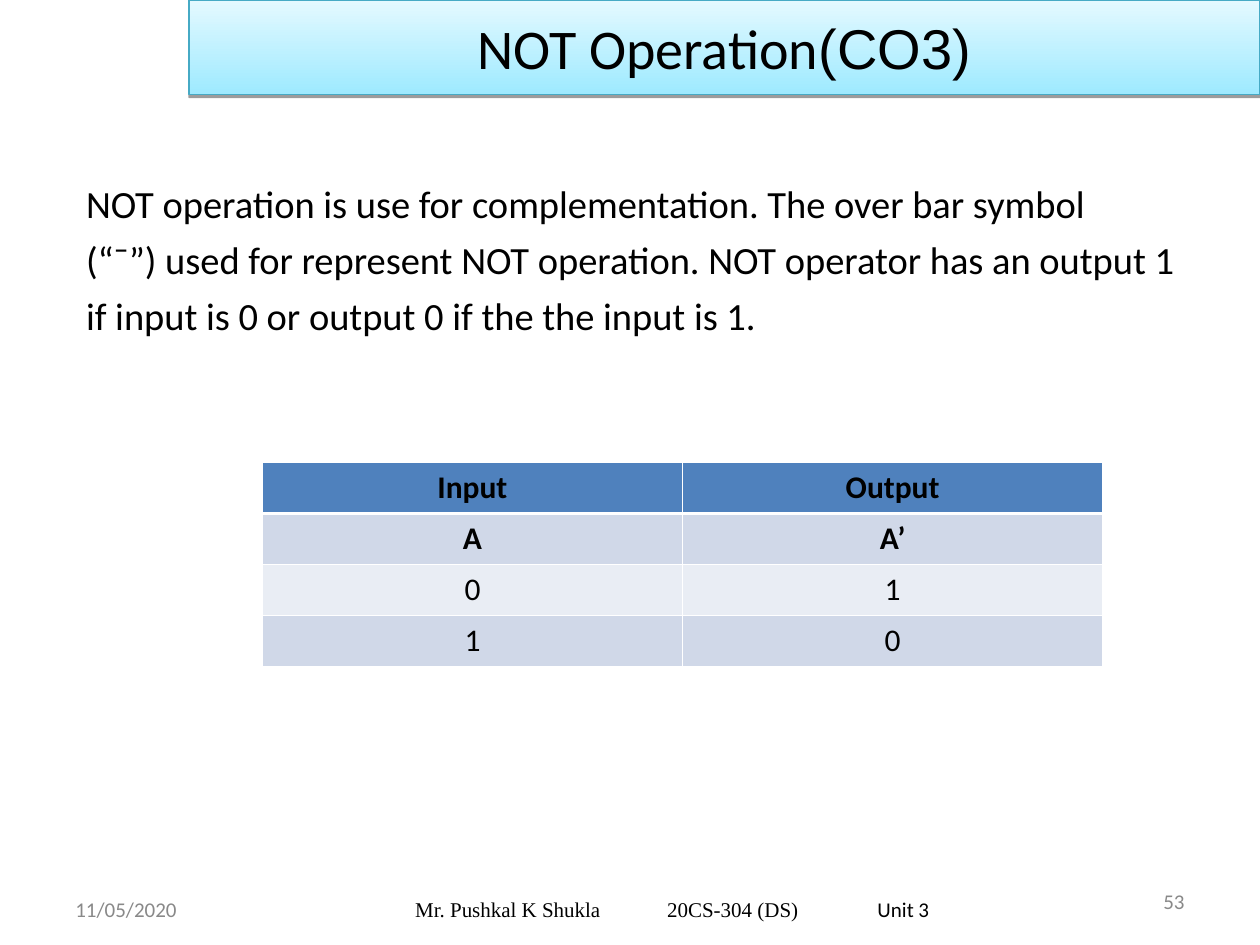
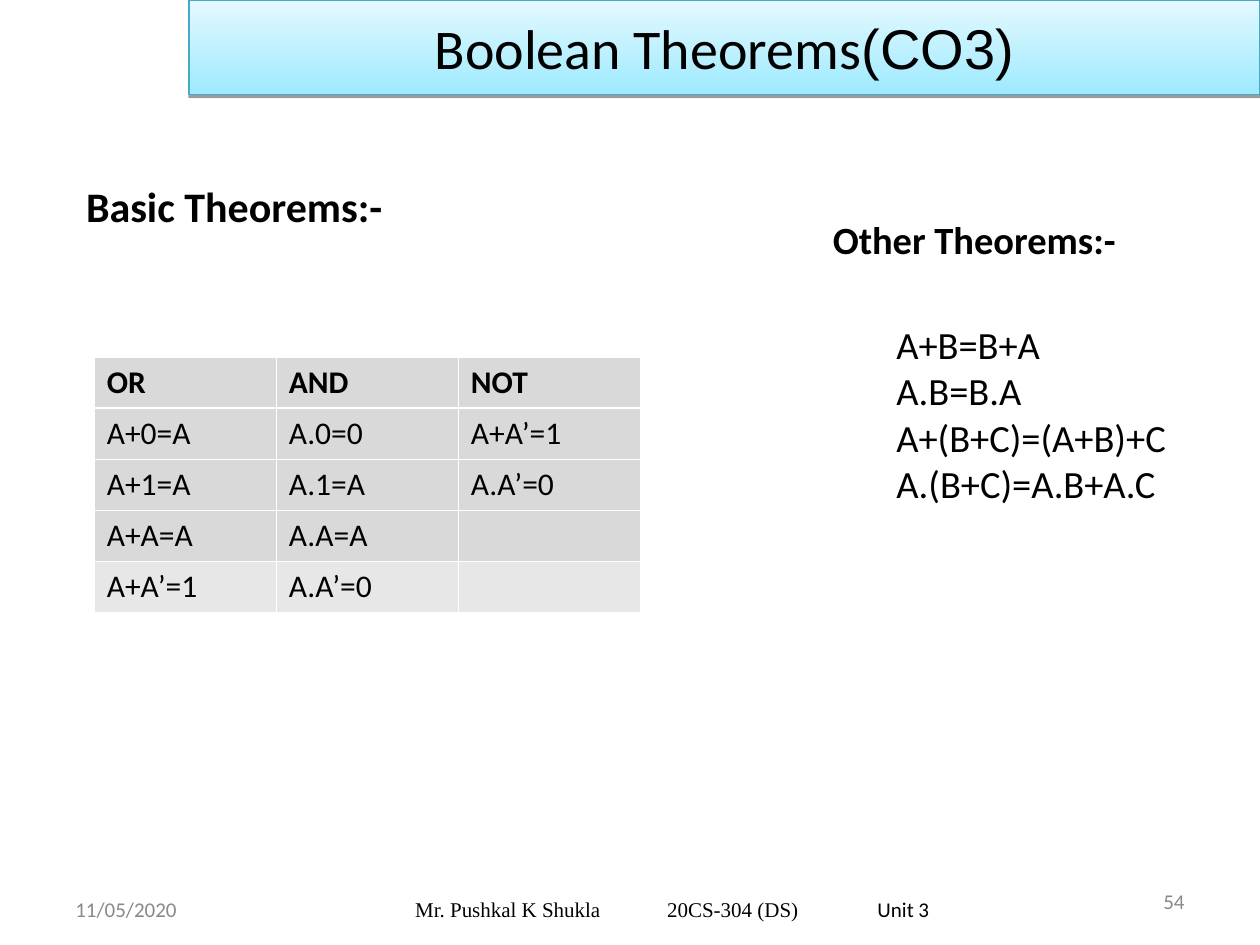
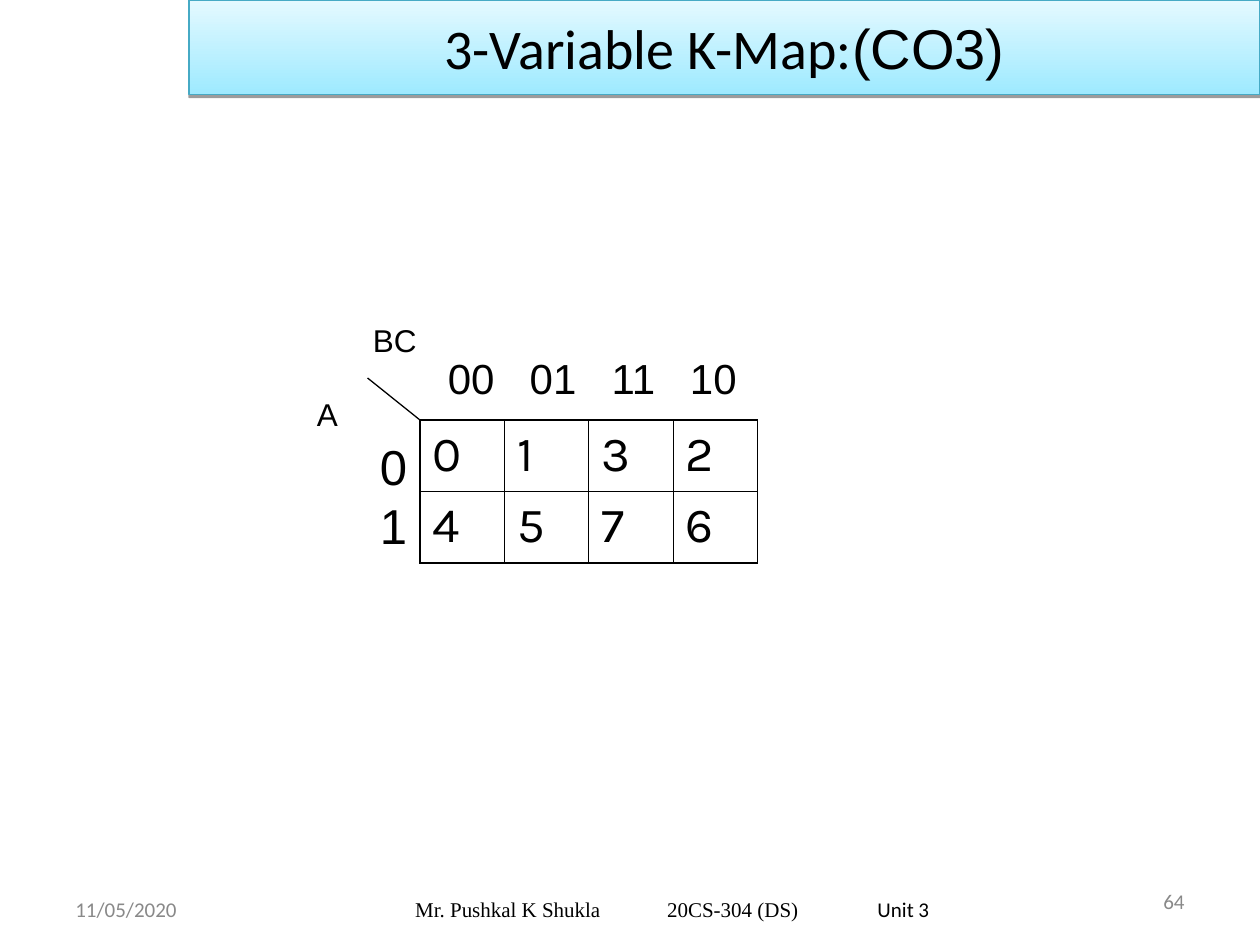
"""Build three lecture slides on Boolean operations, theorems and K-maps."""
from dataclasses import dataclass

from lxml import etree
from pptx import Presentation
from pptx.dml.color import RGBColor
from pptx.enum.shapes import MSO_CONNECTOR
from pptx.enum.text import MSO_ANCHOR, MSO_AUTO_SIZE, PP_ALIGN
from pptx.oxml.ns import qn
from pptx.util import Cm, Pt

LEFT, CENTER, RIGHT, JUSTIFY = PP_ALIGN.LEFT, PP_ALIGN.CENTER, PP_ALIGN.RIGHT, PP_ALIGN.JUSTIFY
TOP, MIDDLE = MSO_ANCHOR.TOP, MSO_ANCHOR.MIDDLE
FIXED, GROW = MSO_AUTO_SIZE.NONE, MSO_AUTO_SIZE.SHAPE_TO_FIT_TEXT
STRAIGHT = MSO_CONNECTOR.STRAIGHT

BLACK, WHITE, GRAY = "000000", "FFFFFF", "898989"
BAND_DARK, BAND_LIGHT, BAND_LINE = "9EEAFF", "E4F9FF", "46AAC5"
HEADER_BLUE, PALE_BLUE, PALEST_BLUE = "4F81BD", "D0D8E8", "E9EDF4"
CELL_GRAY, CELL_LIGHT_GRAY = "D9D9D9", "E7E7E7"

CALIBRI, ARIAL, TIMES, KARLA = "Calibri", "Arial", "Times New Roman", "Karla"
LAYOUT_BODY, LAYOUT_TITLE = 1, 5
HANGING = Cm(0.96)


@dataclass
class Run:
    """A piece of text in one style."""
    text: str
    size: float
    font: str = CALIBRI
    color: str = BLACK
    bold: bool = False


@dataclass
class Box:
    """A text box; lengths are in centimetres."""
    left: float
    top: float
    width: float
    height: float
    lines: list[list[Run]]
    align: PP_ALIGN = LEFT
    anchor: MSO_ANCHOR = TOP
    wrap: bool = False
    inset: float = 0.25
    tabs: tuple[float, ...] = ()


@dataclass
class Grid:
    """A table with its ruling; lengths are in centimetres, rules in points."""
    left: float
    top: float
    col_width: float
    row_height: float
    rows: list[list[str]]
    fills: list[str | None]
    size: float
    bold_rows: int = 0
    align: PP_ALIGN = LEFT
    font: str = CALIBRI
    rule_color: str = WHITE
    inner: float = 0.45
    outer: float = 0.45
    header: float = 1.47


def rgb(color: str) -> RGBColor:
    """Turn a hex string into a colour."""
    return RGBColor.from_string(color)


def add_run(p, run: Run) -> None:
    """Append one styled run to a paragraph."""
    r = p.add_run()
    r.text = run.text
    r.font.size = Pt(run.size)
    r.font.name = run.font
    r.font.bold = run.bold
    r.font.color.rgb = rgb(run.color)


def write(tf, lines: list[list[Run]], align: PP_ALIGN = LEFT) -> None:
    """Fill a text frame, one paragraph per line."""
    for i, runs in enumerate(lines):
        p = tf.paragraphs[0] if i == 0 else tf.add_paragraph()
        p.alignment = align
        for run in runs:
            add_run(p, run)


def place(sp, left: float, top: float, width: float, height: float) -> None:
    """Move and size a shape."""
    sp.left, sp.top, sp.width, sp.height = Cm(left), Cm(top), Cm(width), Cm(height)


def add_tabs(p, stops: tuple[float, ...]) -> None:
    """Set left tab stops on a paragraph."""
    tab_list = etree.SubElement(p._p.get_or_add_pPr(), qn("a:tabLst"))
    for stop in stops:
        etree.SubElement(tab_list, qn("a:tab"), pos=str(Cm(stop)), algn="l")


def add_box(s, box: Box) -> None:
    """Draw a text box."""
    sp = s.shapes.add_textbox(Cm(box.left), Cm(box.top), Cm(box.width), Cm(box.height))
    tf = sp.text_frame
    tf.word_wrap = box.wrap
    tf.auto_size = FIXED if box.wrap else GROW
    tf.vertical_anchor = box.anchor
    tf.margin_left = Cm(box.inset)
    if box.tabs:
        add_tabs(tf.paragraphs[0], box.tabs)
    write(tf, box.lines, box.align)


def format_title(s, text: str) -> None:
    """Turn the title placeholder into the gradient band."""
    sp = s.shapes.title
    place(sp, 3.81, 0, 21.59, 1.91)
    sp.fill.gradient()
    sp.fill.gradient_angle = 90
    for stop, color in zip(sp.fill.gradient_stops, (BAND_DARK, BAND_LIGHT)):
        stop.color.rgb = rgb(color)
    sp.line.color.rgb = rgb(BAND_LINE)
    sp.line.width = Pt(0.75)
    effects = etree.SubElement(sp._element.spPr, qn("a:effectLst"))
    shadow = etree.SubElement(effects, qn("a:outerShdw"), blurRad="0", dist=str(Pt(1.6)),
                              dir="5400000", rotWithShape="0")
    color = etree.SubElement(shadow, qn("a:srgbClr"), val=BLACK)
    etree.SubElement(color, qn("a:alpha"), val="38000")
    tf = sp.text_frame
    tf.auto_size = FIXED
    tf.vertical_anchor = MIDDLE
    write(tf, [[Run(text, 32), Run("(CO3)", 32, ARIAL)]], CENTER)


def format_body(s, lines: list[list[Run]], align: PP_ALIGN = LEFT) -> None:
    """Place the body placeholder and write unbulleted paragraphs."""
    sp = s.placeholders[1]
    place(sp, 1.48, 3.51, 22.86, 12.57)
    tf = sp.text_frame
    tf.auto_size = FIXED
    write(tf, lines, align)
    for i, p in enumerate(tf.paragraphs):
        pPr = p._p.get_or_add_pPr()
        pPr.set("marL", str(HANGING))
        pPr.set("indent", str(-HANGING))
        etree.SubElement(pPr, qn("a:buNone"))
        p.space_before = Pt(5.5 if i else 0)


def add_footer(s, number: str) -> None:
    """Draw the date, the course line and the page number."""
    add_box(s, Box(1.27, 17.82, 5.92, 1.02, [[Run("11/05/2020", 12, color=GRAY)]],
                   anchor=MIDDLE, wrap=True))
    add_box(s, Box(18.21, 17.65, 5.92, 1.02, [[Run(number, 12, color=GRAY)]],
                   align=RIGHT, anchor=MIDDLE, wrap=True))
    course = [Run("Mr. Pushkal K Shukla\t20CS-304 (DS)\t", 12, TIMES), Run("Unit 3", 12)]
    add_box(s, Box(6.56, 17.82, 13.97, 1.02, [course], anchor=MIDDLE, wrap=True,
                   inset=1.81, tabs=(5.08, 9.32)))


def add_rules(cell, widths: dict[str, float], color: str) -> None:
    """Set the four borders of a cell."""
    tcPr = cell._tc.get_or_add_tcPr()
    for side, width in widths.items():
        ln = etree.SubElement(tcPr, qn(f"a:ln{side}"), w=str(Pt(width)))
        fill = etree.SubElement(ln, qn("a:solidFill"))
        etree.SubElement(fill, qn("a:srgbClr"), val=color)


def add_grid(s, grid: Grid) -> None:
    """Draw a table with its fills and rules."""
    n_rows, n_cols = len(grid.rows), len(grid.rows[0])
    frame = s.shapes.add_table(n_rows, n_cols, Cm(grid.left), Cm(grid.top),
                               Cm(grid.col_width * n_cols), Cm(grid.row_height * n_rows))
    table = frame.table
    table.first_row = table.horz_banding = False
    for column in table.columns:
        column.width = Cm(grid.col_width)
    across = [grid.outer] + [grid.inner] * (n_cols - 1) + [grid.outer]
    down = [grid.outer, grid.header] + [grid.inner] * (n_rows - 2) + [grid.outer]
    for i, (texts, fill) in enumerate(zip(grid.rows, grid.fills)):
        table.rows[i].height = Cm(grid.row_height)
        for j, text in enumerate(texts):
            cell = table.cell(i, j)
            widths = {"L": across[j], "R": across[j + 1], "T": down[i], "B": down[i + 1]}
            add_rules(cell, widths, grid.rule_color)
            if fill:
                cell.fill.solid()
                cell.fill.fore_color.rgb = rgb(fill)
            else:
                cell.fill.background()
            if text:
                run = Run(text, grid.size, grid.font, bold=i < grid.bold_rows)
                write(cell.text_frame, [[run]], grid.align)


def add_line(s, x1: float, y1: float, x2: float, y2: float) -> None:
    """Draw a thin black line."""
    line = s.shapes.add_connector(STRAIGHT, Cm(x1), Cm(y1), Cm(x2), Cm(y2))
    line.line.color.rgb = rgb(BLACK)
    line.line.width = Pt(0.75)
    etree.SubElement(line._element.spPr, qn("a:effectLst"))


def new_slide(prs, layout: int, title: str, number: str):
    """Add a slide with the shared band and footer."""
    s = prs.slides.add_slide(prs.slide_layouts[layout])
    format_title(s, title)
    add_footer(s, number)
    return s


def build_not_operation(prs) -> None:
    """Build the NOT operation slide."""
    s = new_slide(prs, LAYOUT_BODY, "NOT Operation", "53")
    lines = (
        "NOT operation is use for complementation. The over bar symbol",
        "(“¯”) used for represent NOT operation. NOT operator has an output 1",
        "if input is 0 or output 0 if the the input is 1.",
    )
    format_body(s, [[Run(line, 22)] for line in lines], JUSTIFY)
    rows = [["Input", "Output"], ["A", "A’"], ["0", "1"], ["1", "0"]]
    fills = [HEADER_BLUE, PALE_BLUE, PALEST_BLUE, PALE_BLUE]
    add_grid(s, Grid(5.29, 9.32, 8.47, 1.03, rows, fills, 18, bold_rows=2, align=CENTER))


def build_theorems(prs) -> None:
    """Build the Boolean theorems slide."""
    s = new_slide(prs, LAYOUT_BODY, "Boolean Theorems", "54")
    format_body(s, [[Run("Basic Theorems:-", 24, bold=True)]])
    rows = [
        ["OR", "AND", "NOT"],
        ["A+0=A", "A.0=0", "A+A’=1"],
        ["A+1=A", "A.1=A", "A.A’=0"],
        ["A+A=A", "A.A=A", ""],
        ["A+A’=1", "A.A’=0", ""],
    ]
    fills = [CELL_GRAY] * 4 + [CELL_LIGHT_GRAY]
    add_grid(s, Grid(1.9, 7.2, 3.67, 1.03, rows, fills, 18, bold_rows=1))
    add_box(s, Box(16.54, 4.23, 6.22, 1.19, [[Run("Other Theorems:-", 22, bold=True)]]))
    theorems = ("A+B=B+A", "A.B=B.A", "A+(B+C)=(A+B)+C", "A.(B+C)=A.B+A.C")
    add_box(s, Box(17.82, 6.35, 5.94, 3.99, [[Run(theorem, 22)] for theorem in theorems]))


def build_k_map(prs) -> None:
    """Build the three-variable K-map slide."""
    s = new_slide(prs, LAYOUT_TITLE, "3-Variable K-Map:", "64")
    rows = [["0", "1", "3", "2"], ["4", "5", "7", "6"]]
    add_grid(s, Grid(8.47, 8.47, 1.7, 1.44, rows, [None, None], 28, font=KARLA,
                     rule_color=BLACK, outer=1.08, header=0.45))
    add_box(s, Box(8.78, 6.99, 6.38, 1.27, [[Run("00\t01\t11\t10", 24, ARIAL)]],
                   wrap=True, tabs=(1.65, 3.3, 4.88)))
    add_box(s, Box(7.41, 8.68, 1.04, 2.64, [[Run(bit, 28, ARIAL)] for bit in "01"]))
    add_box(s, Box(7.27, 6.35, 1.6, 1.02, [[Run("BC", 18, ARIAL)]], wrap=True))
    add_line(s, 7.41, 7.62, 8.47, 8.47)
    add_box(s, Box(6.14, 7.83, 0.95, 1.02, [[Run("A", 18, ARIAL)]]))


def main() -> None:
    """Build and save the presentation."""
    prs = Presentation()
    prs.slide_width, prs.slide_height = Cm(25.4), Cm(19.05)
    build_not_operation(prs)
    build_theorems(prs)
    build_k_map(prs)
    prs.save("out.pptx")


if __name__ == "__main__":
    main()
